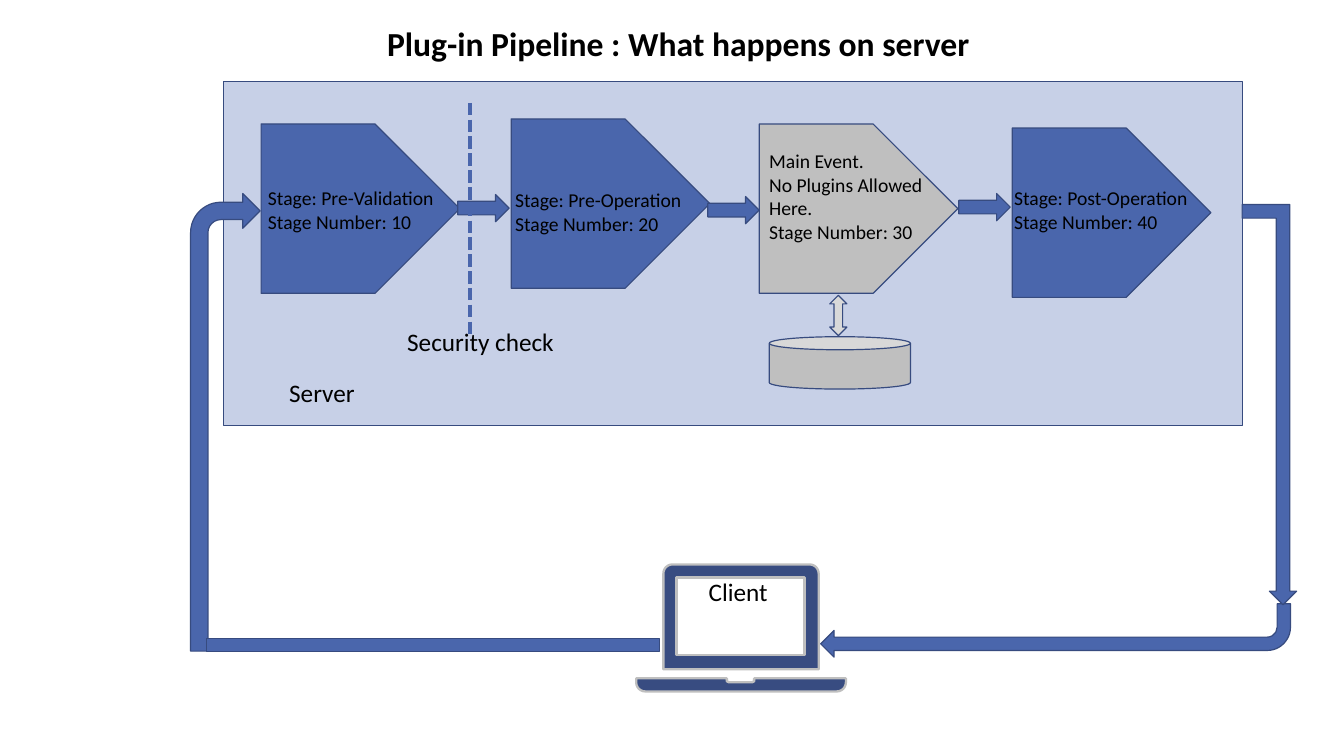
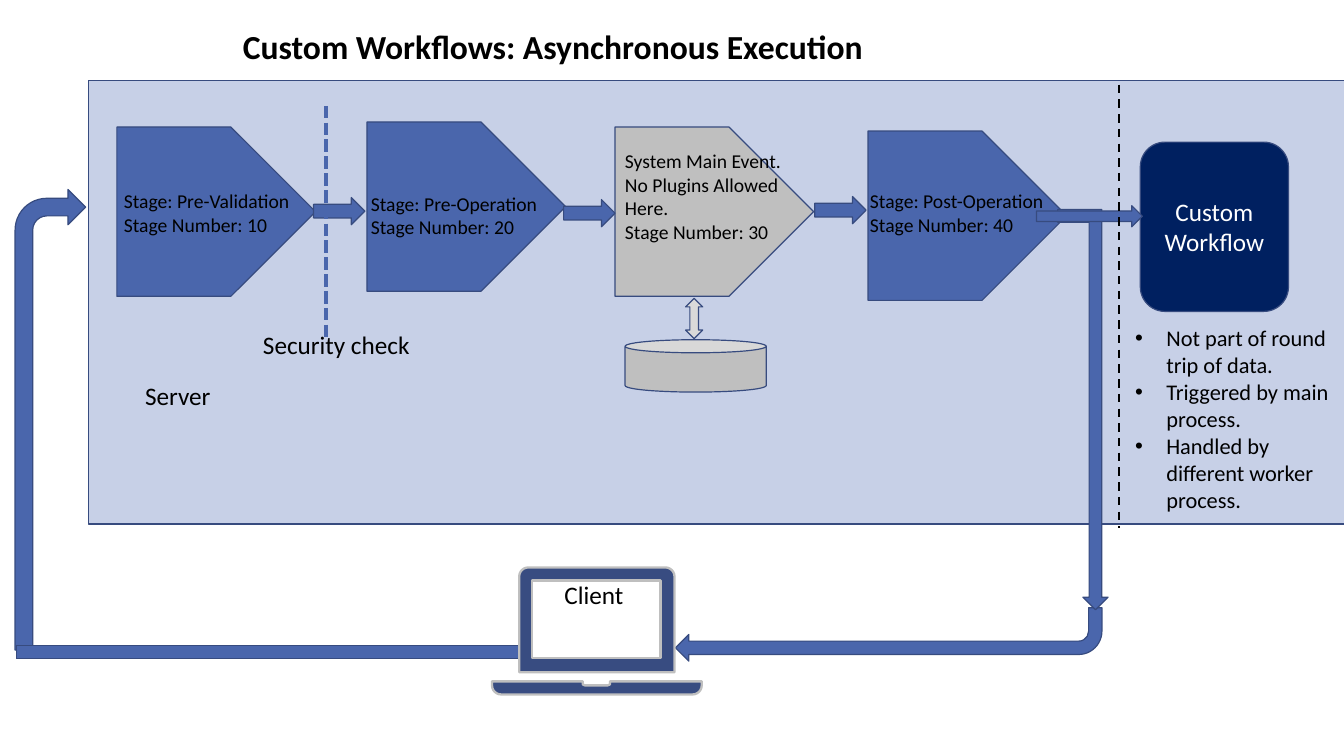
"""Build two slides that show a server pipeline and its round trip to a client."""
from math import cos, radians, sin

from lxml import etree
from pptx import Presentation
from pptx.dml.color import RGBColor
from pptx.enum.dml import MSO_LINE
from pptx.enum.shapes import MSO_CONNECTOR, MSO_SHAPE
from pptx.enum.text import MSO_ANCHOR, MSO_AUTO_SIZE, PP_ALIGN
from pptx.oxml.ns import qn
from pptx.util import Inches, Pt

RECT, ROUNDED = MSO_SHAPE.RECTANGLE, MSO_SHAPE.ROUNDED_RECTANGLE
STAGE, DATABASE = MSO_SHAPE.PENTAGON, MSO_SHAPE.CAN
RIGHT, UP_DOWN = MSO_SHAPE.RIGHT_ARROW, MSO_SHAPE.UP_DOWN_ARROW
BENT, BENT_UP, BAR = MSO_SHAPE.BENT_ARROW, MSO_SHAPE.BENT_UP_ARROW, MSO_SHAPE.MATH_MINUS
STRAIGHT = MSO_CONNECTOR.STRAIGHT
SHORT_DASH, DASH = MSO_LINE.SQUARE_DOT, MSO_LINE.DASH
CENTER, MIDDLE, GROW = PP_ALIGN.CENTER, MSO_ANCHOR.MIDDLE, MSO_AUTO_SIZE.SHAPE_TO_FIT_TEXT

COLORS = {
    "server": "B5C1DF", "blue": "4A66AC", "edge": "374B7F", "grey": "BFBFBF",
    "light": "D9D9D9", "laptop": "384C81", "navy": "002060",
    "black": "000000", "white": "FFFFFF",
}
TEXT_STYLES = {
    "title": {"size": Pt(24), "bold": True},
    "label": {"size": Pt(18)},
    "bullet": {"size": Pt(16)},
    "stage": {"size": Pt(14)},
}
STAGE_SIZE = (1.97, 1.68)
STEP_SIZE = (0.51, 0.27)
STAGES = [
    (2.59, 1.23, "blue"), (5.07, 1.18, "blue"),
    (7.53, 1.23, "grey"), (10.04, 1.27, "blue"),
]
STEPS = [(4.54, 1.93), (7.02, 1.95), (9.51, 1.92)]
STAGE_LABELS = [
    ((2.56, 1.8, 1.97, 0.57), ["Stage: Pre-Validation", "Stage Number: 10"]),
    ((5.01, 1.82, 1.97, 0.57), ["Stage: Pre-Operation", "Stage Number: 20"]),
    ((9.96, 1.8, 2.07, 0.57), ["Stage: Post-Operation", "Stage Number: 40"]),
]
PLACE_LABELS = [
    ((6.93, 5.67, 0.94, 0.4), "Client"),
    ((2.77, 3.69, 0.94, 0.4), "Server"),
    ((3.94, 3.19, 1.72, 0.4), "Security check"),
]
PLUGINS = {
    "title": "Plug-in Pipeline : What happens on server",
    "shift": (0, 0),
    "server": (2.22, 0.81, 10.1, 3.41),
    "main_event": ("Main Event.", 1.43),
    "routes": [
        (BENT, (1.89, 1.92, 0.69, 4.54), "", ()),
        (BENT, (8.14, 5.99, 4.66, 0.53), "HV", ()),
        (BAR, (1.24, 6.12, 6.11, 0.56), "", ()),
        (BENT_UP, (12.32, 2.03, 0.54, 3.97), "V", ()),
    ],
}
WORKFLOWS = {
    "title": "Custom Workflows: Asynchronous Execution",
    "shift": (-1.43, 0.03),
    "server": (0.88, 0.8, 12.46, 4.4),
    "main_event": ("System Main Event.", 1.4),
    "routes": [
        (BENT, (0.15, 1.88, 0.7, 4.57), "", (0.25, 0.25, 0.25, 0.45)),
        (BENT, (6.7, 6.03, 4.23, 0.53), "HV", ()),
        (BAR, (-0.76, 6.19, 6.96, 0.56), "", ()),
        (BENT_UP, (10.49, 2.08, 0.5, 3.97), "V", ()),
    ],
}


def rgb(name):
    return RGBColor.from_string(COLORS[name])


def arc(x, y, start, end, radius=0.09, steps=6):
    angles = [radians(start + (end - start) * i / steps) for i in range(steps + 1)]
    return [(x + radius * cos(a), y + radius * sin(a)) for a in angles]


class Diagram:
    """Hold the deck's style, the current slide and the offset of its drawing."""

    def __init__(self):
        self.deck = Presentation()
        self.deck.slide_width, self.deck.slide_height = Inches(13.33), Inches(7.5)
        self.slide = None
        self.shift = (0, 0)

    def start_slide(self):
        self.slide = self.deck.slides.add_slide(self.deck.slide_layouts[6])
        self.shift = (0, 0)

    def point(self, x, y):
        return Inches(x + self.shift[0]), Inches(y + self.shift[1])

    def box(self, at):
        return (*self.point(*at[:2]), Inches(at[2]), Inches(at[3]))

    def paint(self, shape, fill, edge="edge", width=0.85):
        shape.shadow.inherit = False
        shape.fill.solid()
        shape.fill.fore_color.rgb = rgb(fill)
        shape.line.color.rgb = rgb(edge)
        shape.line.width = Pt(width)

    def shape(self, kind, at, fill="blue", flip="", adjust=(), opacity=None):
        shape = self.slide.shapes.add_shape(kind, *self.box(at))
        self.paint(shape, fill)
        for axis in flip:
            shape._element.spPr.xfrm.set("flip" + axis, "1")
        for i, value in enumerate(adjust):
            shape.adjustments[i] = value
        if opacity:
            color = shape._element.spPr.find(".//" + qn("a:srgbClr"))
            etree.SubElement(color, qn("a:alpha"), val=str(opacity * 1000))
        return shape

    def outline(self, contours):
        first, *others = [[self.point(*p) for p in contour] for contour in contours]
        builder = self.slide.shapes.build_freeform(*first[0])
        builder.add_line_segments(first[1:], close=True)
        for contour in others:
            builder.move_to(*contour[0])
            builder.add_line_segments(contour[1:], close=True)
        self.paint(builder.convert_to_shape(), "laptop", "grey", 1.63)

    def line(self, start, end, color, width, dash):
        line = self.slide.shapes.add_connector(STRAIGHT, *self.point(*start), *self.point(*end))
        line.line.color.rgb = rgb(color)
        for name, value in {"width": Pt(width), "dash_style": dash}.items():
            setattr(line.line, name, value)
        etree.SubElement(line._element.spPr, qn("a:effectLst"))

    def fill_text(self, frame, lines, style, color="black"):
        frame.word_wrap = True
        for i, words in enumerate(lines):
            paragraph = frame.paragraphs[0] if i == 0 else frame.add_paragraph()
            run = paragraph.add_run()
            run.text = words
            run.font.color.rgb = rgb(color)
            for name, value in {"name": "Calibri", **TEXT_STYLES[style]}.items():
                setattr(run.font, name, value)

    def text(self, at, lines, style):
        frame = self.slide.shapes.add_textbox(*self.box(at)).text_frame
        frame.auto_size = GROW
        self.fill_text(frame, lines, style)
        return frame

    def bullets(self, at, lines):
        for paragraph in self.text(at, lines, "bullet").paragraphs:
            properties = paragraph._p.get_or_add_pPr()
            properties.set("marL", str(Inches(0.31)))
            properties.set("indent", str(-Inches(0.31)))
            etree.SubElement(properties, qn("a:buFont"), typeface="Arial")
            etree.SubElement(properties, qn("a:buChar"), char="•")

    def laptop(self):
        screen = [(7.98, 6.5), (6.71, 6.5), (6.71, 5.73), (7.98, 5.73)]
        lid = [(8.12, 6.64), (6.58, 6.64), *arc(6.67, 5.69, 180, 270), *arc(8.03, 5.69, 270, 360)]
        notch = [(7.48, 6.73), (7.48, 6.76), (7.46, 6.77), (7.23, 6.77), (7.21, 6.76), (7.21, 6.73)]
        base = [(6.31, 6.73), *arc(6.4, 6.77, 180, 90), *arc(8.3, 6.77, 90, 0), (8.39, 6.73)]
        self.outline([screen, lid])
        self.outline([notch + base])

    def round_trip(self, content):
        self.start_slide()
        self.shape(RECT, content["server"], "server", opacity=75)
        self.shift = content["shift"]
        for x, y, fill in STAGES:
            self.shape(STAGE, (x, y, *STAGE_SIZE), fill)
        for x, y in STEPS:
            self.shape(RIGHT, (x, y, *STEP_SIZE))
        self.shape(DATABASE, (7.63, 3.34, 1.4, 0.52), "grey")
        self.shape(UP_DOWN, (8.23, 2.93, 0.17, 0.4), "light")

        self.shift = (0, 0)
        for kind, at, flip, adjust in content["routes"]:
            self.shape(kind, at, flip=flip, adjust=adjust)

        self.shift = content["shift"]
        self.laptop()
        self.text((3.74, 0.18, 6.72, 0.5), [content["title"]], "title")
        for at, lines in STAGE_LABELS:
            self.text(at, lines, "stage")
        event, top = content["main_event"]
        event_lines = [event, "No Plugins Allowed Here.", "Stage Number: 30"]
        self.text((7.53, top, 1.85, 1.04), event_lines, "stage")
        self.line((4.66, 1.02), (4.66, 3.34), "blue", 3, SHORT_DASH)
        for at, place in PLACE_LABELS:
            self.text(at, [place], "label")
        self.shift = (0, 0)

    def custom_workflow(self):
        workflow = self.shape(ROUNDED, (11.31, 1.41, 1.47, 1.68), "navy").text_frame
        self.fill_text(workflow, ["Custom Workflow"], "label", "white")
        workflow.vertical_anchor = MIDDLE
        workflow.paragraphs[0].alignment = CENTER
        self.shape(RIGHT, (10.28, 2.04, 1.05, 0.21))
        self.line((11.1, 0.84), (11.1, 5.24), "black", 1.5, DASH)
        self.bullets((11.16, 3.17, 2.22, 1.99), [
            "Not part of round trip of data.",
            "Triggered by main process.",
            "Handled by different worker process.",
        ])


def main():
    diagram = Diagram()
    diagram.round_trip(PLUGINS)
    diagram.round_trip(WORKFLOWS)
    diagram.custom_workflow()
    diagram.deck.save("out.pptx")


if __name__ == "__main__":
    main()
